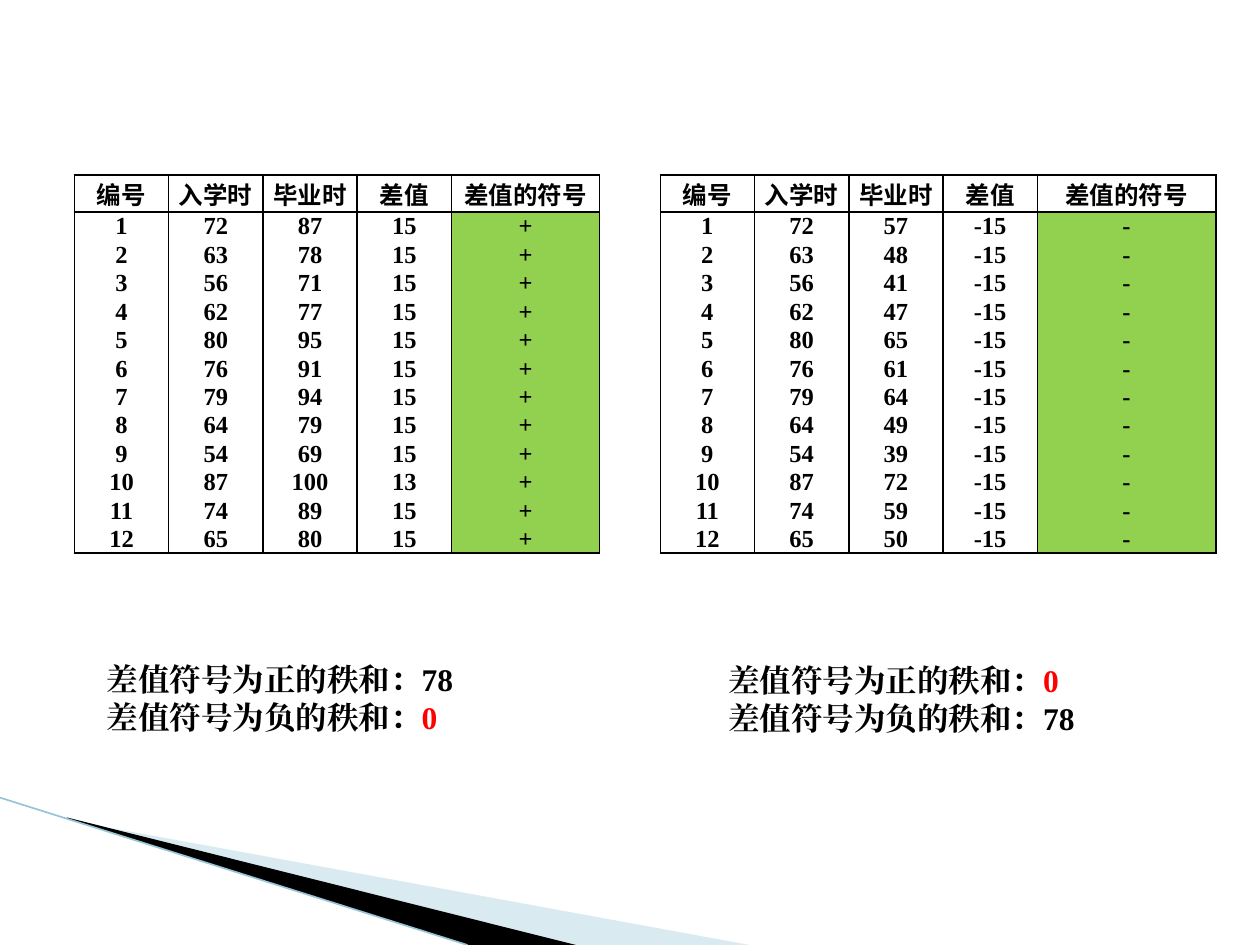
from collections import namedtuple

from lxml.etree import SubElement
from pptx import Presentation
from pptx.dml.color import RGBColor
from pptx.enum.shapes import MSO_CONNECTOR
from pptx.enum.text import MSO_ANCHOR, MSO_AUTO_SIZE, PP_ALIGN
from pptx.oxml.ns import qn
from pptx.util import Cm, Pt

Box = namedtuple("Box", "left top width height")

BLACK = RGBColor(0x00, 0x00, 0x00)
RED = RGBColor(0xFF, 0x00, 0x00)
GREEN = RGBColor(0x92, 0xD0, 0x50)
PALE_BLUE = RGBColor(0xA0, 0xCB, 0xDC)
LINE_BLUE = RGBColor(0x97, 0xC5, 0xD8)

CJK_FONT = "Noto Sans CJK SC"
LATIN_FONT = "Times New Roman"

HEADERS = ["编号", "入学时", "毕业时", "差值", "差值的符号"]
ENTRY = [72, 63, 56, 62, 80, 76, 79, 64, 54, 87, 74, 65]
RISEN = [87, 78, 71, 77, 95, 91, 94, 79, 69, 100, 89, 80]
FALLEN = [57, 48, 41, 47, 65, 61, 64, 49, 39, 72, 59, 50]

NUMBER_COLUMN = 1.9
HEADER_HEIGHT = 0.74


def set_font(para, name, size):
    font = para.font
    font.name, font.size, font.bold = name, Pt(size), True
    font.color.rgb = BLACK
    defaults = para._p.pPr.find(qn("a:defRPr"))
    SubElement(defaults, qn("a:ea"), typeface=name)


def set_borders(cell, sides):
    properties = cell._tc.get_or_add_tcPr()
    for side in "LRTB":
        border = SubElement(properties, qn(f"a:ln{side}"), w=str(Pt(1)))
        if side in sides:
            fill = SubElement(border, qn("a:solidFill"))
            SubElement(fill, qn("a:srgbClr"), val=str(BLACK))
        else:
            SubElement(border, qn("a:noFill"))


def fill_cell(cell, text, font_name, sides, color):
    cell.margin_left = cell.margin_right = cell.margin_top = Cm(0.02)
    cell.margin_bottom = 0
    cell.vertical_anchor = MSO_ANCHOR.MIDDLE
    para = cell.text_frame.paragraphs[0]
    para.text = text
    para.alignment = PP_ALIGN.CENTER
    set_font(para, font_name, 14)
    set_borders(cell, sides)
    if color is None:
        cell.fill.background()
    else:
        cell.fill.solid()
        cell.fill.fore_color.rgb = color


def add_score_table(page, box, graduation):
    rows = [HEADERS]
    for number, (before, after) in enumerate(zip(ENTRY, graduation), 1):
        change = after - before
        sign = "+" if change > 0 else "-"
        rows.append([str(number), str(before), str(after), str(change), sign])

    frame = page.shapes.add_table(len(rows), len(HEADERS), *map(Cm, box))
    table = frame.table
    table.first_row = table.horz_banding = False
    last_column = len(HEADERS) - 1
    for index, column in enumerate(table.columns):
        sign_width = box.width - last_column * NUMBER_COLUMN
        column.width = Cm(sign_width if index == last_column else NUMBER_COLUMN)

    row_height = (box.height - HEADER_HEIGHT) / (len(rows) - 1)
    for row_index, values in enumerate(rows):
        is_header = row_index == 0
        table.rows[row_index].height = Cm(HEADER_HEIGHT if is_header else row_height)
        sides = "LR"
        if row_index <= 1:
            sides += "T"
        if is_header or row_index == len(rows) - 1:
            sides += "B"
        for column_index, text in enumerate(values):
            is_sign = column_index == last_column and not is_header
            fill_cell(
                table.cell(row_index, column_index),
                text,
                CJK_FONT if is_header else LATIN_FONT,
                sides,
                GREEN if is_sign else None,
            )


def add_rank_sums(page, box, positive, negative):
    frame = page.shapes.add_textbox(*map(Cm, box)).text_frame
    frame.word_wrap = True
    frame.auto_size = MSO_AUTO_SIZE.SHAPE_TO_FIT_TEXT
    for index, (sign, total) in enumerate([("正", positive), ("负", negative)]):
        para = frame.add_paragraph() if index else frame.paragraphs[0]
        para.alignment = PP_ALIGN.JUSTIFY
        set_font(para, LATIN_FONT, 18)
        para.add_run().text = f"差值符号为{sign}的秩和："
        span = para.add_run()
        span.text = str(total)
        if total == 0:
            span.font.color.rgb = RED


def add_wedge(page, box, points, color, opacity=None):
    corners = [(Cm(box.left + x), Cm(box.top + y)) for x, y in points]
    builder = page.shapes.build_freeform(*corners[0])
    builder.add_line_segments(corners[1:])
    wedge = builder.convert_to_shape()
    wedge.shadow.inherit = False
    wedge.line.fill.background()
    wedge.fill.solid()
    wedge.fill.fore_color.rgb = color
    if opacity is not None:
        shade = wedge._element.spPr.find(qn("a:solidFill"))[0]
        SubElement(shade, qn("a:alpha"), val=str(opacity * 1000))


def add_corner_decoration(page, box):
    right, bottom = box.width, box.height
    pale = [(1.4, 0.46), (right, bottom), (11.58, bottom), (1.4, 0.43)]
    dark = [(1.35, 0.4), (11.61, bottom), (9.45, bottom), (1.37, 0.43)]
    add_wedge(page, box, pale, PALE_BLUE, 40)
    add_wedge(page, box, dark, BLACK)
    edge = page.shapes.add_connector(
        MSO_CONNECTOR.STRAIGHT,
        Cm(box.left),
        Cm(box.top),
        Cm(box.left + 9.42),
        Cm(box.top + bottom),
    )
    edge.line.color.rgb = LINE_BLUE
    edge.line.width = Pt(0.95)
    SubElement(edge._element.spPr, qn("a:effectLst"))


def main():
    deck = Presentation()
    deck.slide_width, deck.slide_height = Cm(25.4), Cm(19.05)
    page = deck.slides.add_slide(deck.slide_layouts[6])

    add_corner_decoration(page, Box(0, 16.08, 15.11, 2.97))
    add_score_table(page, Box(1.5, 3.53, 10.59, 7.62), RISEN)
    add_score_table(page, Box(13.31, 3.53, 11.2, 7.62), FALLEN)
    add_rank_sums(page, Box(1.9, 13.18, 8, 1.8), 78, 0)
    add_rank_sums(page, Box(14.43, 13.2, 7.95, 1.8), 0, 78)

    deck.save("out.pptx")


if __name__ == "__main__":
    main()
